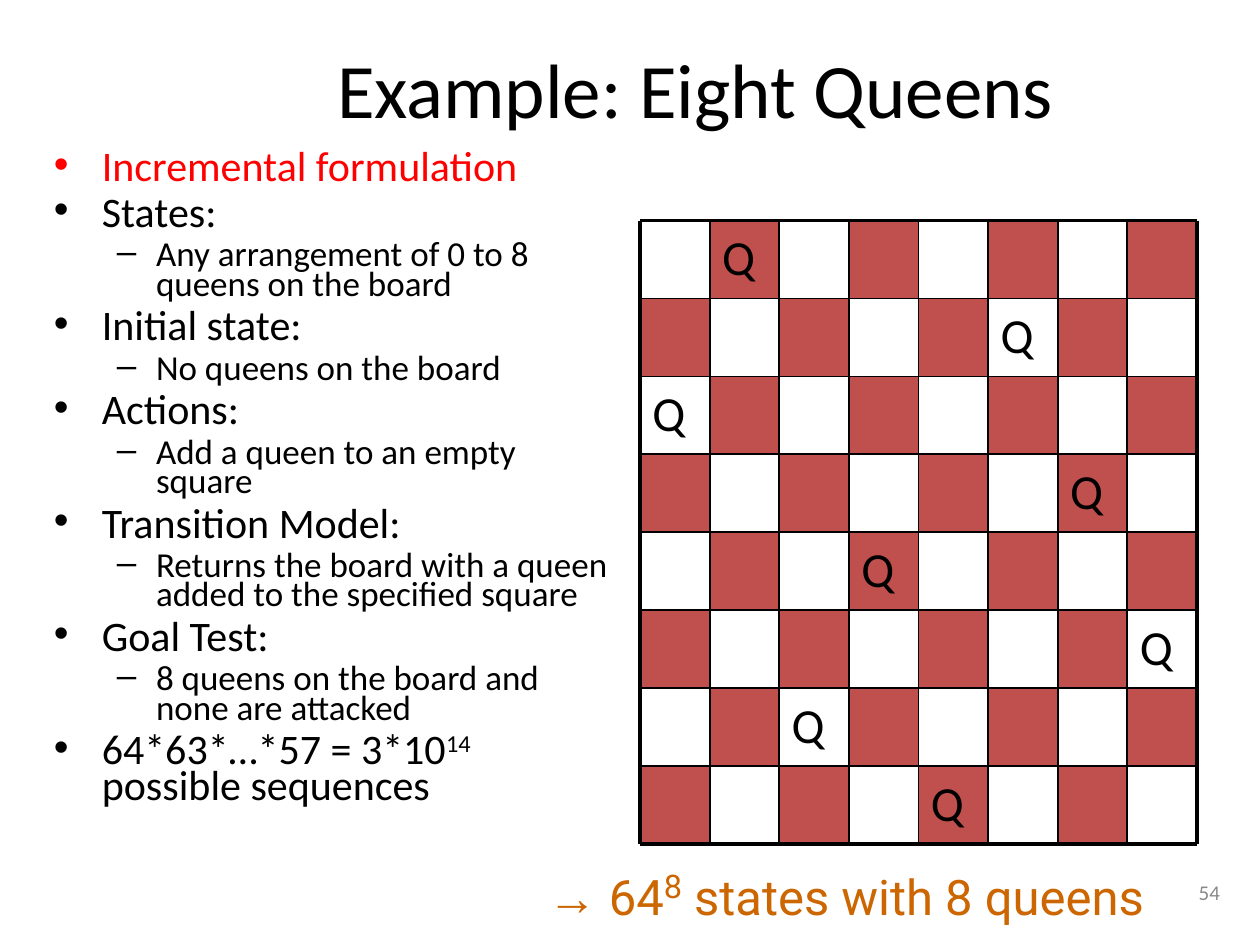
import dataclasses

import lxml.etree
import pptx
import pptx.dml.color
import pptx.enum.shapes
import pptx.enum.text
import pptx.oxml.ns
import pptx.util

Inches = pptx.util.Inches
Pt = pptx.util.Pt
Align = pptx.enum.text.PP_ALIGN
Anchor = pptx.enum.text.MSO_ANCHOR


@dataclasses.dataclass(frozen=True)
class Theme:
    ink: str = "000000"
    highlight: str = "FF0000"
    square: str = "C0504D"
    conclusion: str = "CC6600"
    muted: str = "898989"
    font: str = "Calibri"
    symbol_font: str = "Arial"
    conclusion_font: str = "Roboto"
    title_size: int = 44
    topic_size: int = 24
    detail_size: int = 20
    queen_size: int = 28
    power_size: int = 32
    number_size: int = 12
    grid_width: float = 1
    border_width: float = 2.25


def rgb(value):
    return pptx.dml.color.RGBColor.from_string(value)


def add_xml(parent, tag, **attributes):
    return lxml.etree.SubElement(parent, pptx.oxml.ns.qn(tag), **attributes)


def set_all(target, values):
    for name, value in values.items():
        setattr(target, name, value)


class SlideBuilder:
    def __init__(self, slide, theme):
        self.slide = slide
        self.theme = theme

    def frame(self, shape, **values):
        """Set the frame format and return the text frame."""
        set_all(shape.text_frame, {"word_wrap": True, "vertical_anchor": Anchor.TOP, **values})
        return shape.text_frame

    def run(self, paragraph, text, size, color=None, font=None, raised=False):
        run = paragraph.add_run()
        run.text = text
        set_all(run.font, {"size": Pt(size), "name": font or self.theme.font})
        run.font.color.rgb = rgb(color or self.theme.ink)
        if raised:
            run.font._element.set("baseline", "30000")

    def text(self, box, text, size, color=None, align=Align.LEFT, **frame_values):
        shape = self.slide.shapes.add_textbox(*map(Inches, box))
        paragraph = self.frame(shape, **frame_values).paragraphs[0]
        paragraph.alignment = align
        self.run(paragraph, text, size, color)

    def bullet(self, paragraph, char, color, margin, hanging):
        properties = paragraph._p.get_or_add_pPr()
        properties.set("marL", str(Inches(margin)))
        properties.set("indent", str(-Inches(hanging)))
        add_xml(add_xml(properties, "a:buClr"), "a:srgbClr", val=color)
        add_xml(properties, "a:buFont", typeface=self.theme.symbol_font)
        add_xml(properties, "a:buChar", char=char)

    def outline(self, box, items):
        """Add two-level bullets; each item is (level, color, runs)."""
        theme = self.theme
        levels = (
            {"char": "•", "margin": 0.38, "hanging": 0.38, "size": theme.topic_size, "before": 6},
            {"char": "–", "margin": 0.81, "hanging": 0.31, "size": theme.detail_size, "before": 5},
        )
        frame = self.frame(self.slide.shapes.add_textbox(*map(Inches, box)))
        for index, (level, color, runs) in enumerate(items):
            style = levels[level]
            paragraph = frame.add_paragraph() if index else frame.paragraphs[0]
            self.bullet(paragraph, style["char"], color, style["margin"], style["hanging"])
            set_all(paragraph, {
                "level": level,
                "line_spacing": 0.7,
                "space_before": Pt(style["before"] if index else 0),
            })
            for text, raised in runs:
                self.run(paragraph, text, style["size"], color, raised=raised)

    def square(self, group, box, dark, queen):
        lengths = map(Inches, box)
        if dark:
            shape = group.shapes.add_shape(pptx.enum.shapes.MSO_SHAPE.RECTANGLE, *lengths)
            shape.shadow.inherit = False
            shape.fill.solid()
            shape.fill.fore_color.rgb = rgb(self.theme.square)
            shape.line.fill.background()
        else:
            shape = group.shapes.add_textbox(*lengths)
        if queen:
            paragraph = self.frame(shape).paragraphs[0]
            paragraph.alignment = Align.LEFT
            self.run(paragraph, "Q", self.theme.queen_size)

    def line(self, group, start, end, width):
        connector = group.shapes.add_connector(
            pptx.enum.shapes.MSO_CONNECTOR.STRAIGHT, *map(Inches, (*start, *end)))
        connector.line.color.rgb = rgb(self.theme.ink)
        connector.line.width = Pt(width)
        add_xml(connector._element.spPr, "a:effectLst")

    def board(self, left, top, right, bottom, queen_columns):
        """Add a square board with one queen in each row."""
        count = len(queen_columns)
        step_x, step_y = (right - left) / count, (bottom - top) / count
        group = self.slide.shapes.add_group_shape()

        # Squares and queens
        for row, queen_column in enumerate(queen_columns):
            for column in range(count):
                dark, queen = (row + column) % 2 == 1, column == queen_column
                if dark or queen:
                    box = (left + column * step_x, top + row * step_y, step_x, step_y)
                    self.square(group, box, dark, queen)

        # Grid lines, heavier on the border
        for index in range(count + 1):
            width = self.theme.border_width if index in (0, count) else self.theme.grid_width
            x, y = left + index * step_x, top + index * step_y
            self.line(group, (left, y), (right, y), width)
            self.line(group, (x, top), (x, bottom), width)

    def conclusion(self, box, runs):
        shape = self.slide.shapes.add_textbox(*map(Inches, box))
        frame = self.frame(shape, word_wrap=False,
                           auto_size=pptx.enum.text.MSO_AUTO_SIZE.SHAPE_TO_FIT_TEXT)
        for text, size, font, raised in runs:
            self.run(frame.paragraphs[0], text, size, self.theme.conclusion, font, raised)


def main():
    theme = Theme()
    presentation = pptx.Presentation()
    set_all(presentation, {"slide_width": Inches(10), "slide_height": Inches(7.5)})
    slide = presentation.slides.add_slide(presentation.slide_layouts[6])
    builder = SlideBuilder(slide, theme)

    # Slide number and title
    builder.text((7.7, 6.83, 2.08, 0.5), "54", theme.number_size, theme.muted,
                 Align.RIGHT, vertical_anchor=Anchor.MIDDLE)
    builder.text((1.26, 0.23, 8.52, 0.93), "Example: Eight Queens", theme.title_size,
                 align=Align.CENTER, vertical_anchor=Anchor.MIDDLE)

    # Problem formulation
    formulation = [
        ("States:", "Any arrangement of 0 to 8 queens on the board"),
        ("Initial state:", "No queens on the board"),
        ("Actions:", "Add a queen to an empty square"),
        ("Transition Model:", "Returns the board with a queen added to the specified square"),
        ("Goal Test:", "8 queens on the board and none are attacked"),
    ]
    items = [(0, theme.highlight, [("Incremental formulation", False)])]
    for part in formulation:
        items += [(level, theme.ink, [(text, False)]) for level, text in enumerate(part)]
    items.append((0, theme.ink, [
        ("64*63*…*57 = 3*10", False), ("14", True), (" possible sequences", False)]))
    builder.outline((0.33, 1.17, 4.65, 5.54), items)

    # Chessboard
    builder.board(5.08, 1.75, 9.5, 6.7, queen_columns=(1, 5, 0, 6, 3, 7, 2, 4))

    # Size of the state space
    builder.conclusion((4.25, 6.77, 5.12, 0.64), [
        ("→", theme.queen_size, theme.symbol_font, False),
        (" 64", theme.queen_size, theme.conclusion_font, False),
        ("8", theme.power_size, theme.conclusion_font, True),
        (" states with 8 queens", theme.queen_size, theme.conclusion_font, False),
    ])

    presentation.save("out.pptx")


if __name__ == "__main__":
    main()
